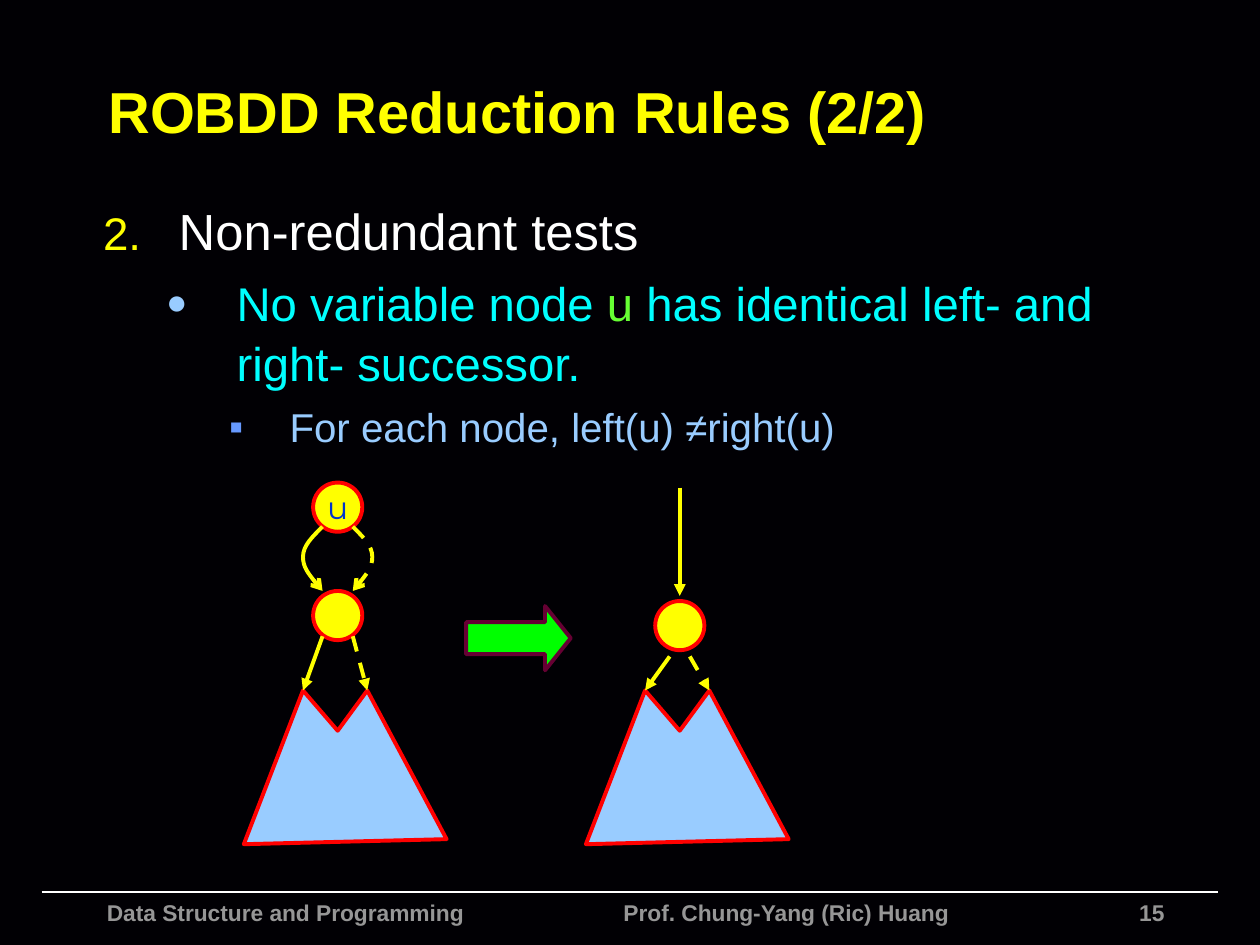
from lxml.etree import SubElement
from pptx import Presentation
from pptx.dml.color import RGBColor
from pptx.enum.dml import MSO_LINE
from pptx.enum.shapes import MSO_CONNECTOR, MSO_SHAPE
from pptx.enum.text import MSO_ANCHOR, PP_ALIGN
from pptx.oxml.ns import qn
from pptx.util import Inches, Pt

BACKGROUND = RGBColor(0x01, 0x00, 0x04)
WHITE = RGBColor(0xFF, 0xFF, 0xFF)
GRAY = RGBColor(0x96, 0x96, 0x96)
YELLOW = RGBColor(0xFF, 0xFF, 0x00)
CYAN = RGBColor(0x00, 0xFF, 0xFF)
LIME = RGBColor(0x66, 0xFF, 0x33)
GREEN = RGBColor(0x00, 0xFF, 0x00)
RED = RGBColor(0xFF, 0x00, 0x00)
PLUM = RGBColor(0x66, 0x00, 0x33)
SKY = RGBColor(0x99, 0xCC, 0xFF)
BLUE = RGBColor(0x66, 0x99, 0xFF)
NAVY = RGBColor(0x00, 0x33, 0xCC)

COLUMNS, ROWS = 100, 75
NODE_SIZE = 3.9
STROKE = 2.25


def grid(*cells):
    return [Inches(cell / 10) for cell in cells]


def write(paragraph, text, size, color, font="Arial", bold=False, align=None):
    run = paragraph.add_run()
    run.text = text
    run.font.name = font
    run.font.size = Pt(size)
    run.font.bold = bold
    run.font.color.rgb = color
    if align is not None:
        paragraph.alignment = align


def add_text_box(slide, *cells):
    frame = slide.shapes.add_textbox(*grid(*cells)).text_frame
    frame.word_wrap = True
    return frame


def set_bullet(paragraph, mark, color, percent, margin, hanging):
    properties = paragraph._p.get_or_add_pPr()
    properties.set("marL", str(Inches(margin)))
    properties.set("indent", str(-Inches(hanging)))
    bullet_color = SubElement(properties, qn("a:buClr"))
    SubElement(bullet_color, qn("a:srgbClr"), val=str(color))
    SubElement(properties, qn("a:buSzPct"), val=str(percent * 1000))
    SubElement(properties, qn("a:buFont"), typeface="Arial")
    if isinstance(mark, int):
        SubElement(properties, qn("a:buAutoNum"), type="arabicPeriod", startAt=str(mark))
    else:
        SubElement(properties, qn("a:buChar"), char=mark)


def set_line(shape, color, width=STROKE, dashed=False, arrow=None):
    shape.line.color.rgb = color
    shape.line.width = Pt(width)
    if dashed:
        shape.line.dash_style = MSO_LINE.DASH
    if arrow:
        SubElement(shape.line._get_or_add_ln(), qn("a:tailEnd"), type=arrow)


def set_fill(shape, color):
    shape.shadow.inherit = False
    shape.fill.solid()
    shape.fill.fore_color.rgb = color


def add_line(slide, start, end, color=YELLOW, **line_format):
    connector = slide.shapes.add_connector(MSO_CONNECTOR.STRAIGHT, *grid(*start, *end))
    set_line(connector, color, **line_format)
    SubElement(connector._element.spPr, qn("a:effectLst"))


def add_freeform(slide, points, close):
    start, *others = [grid(*point) for point in points]
    builder = slide.shapes.build_freeform(*start)
    builder.add_line_segments(others, close=close)
    return builder.convert_to_shape()


def add_curve(slide, points, dashed=False):
    shape = add_freeform(slide, points, close=False)
    shape.shadow.inherit = False
    shape.fill.background()
    set_line(shape, YELLOW, dashed=dashed, arrow="arrow")
    path = shape._element.find(".//" + qn("a:path"))
    segments = path.findall(qn("a:lnTo"))
    for first in range(0, len(segments), 3):
        curve = SubElement(path, qn("a:cubicBezTo"))
        for segment in segments[first:first + 3]:
            curve.append(segment[0])
            path.remove(segment)


def add_node(slide, center, top, label=None):
    node = slide.shapes.add_shape(
        MSO_SHAPE.OVAL, *grid(center - NODE_SIZE / 2, top, NODE_SIZE, NODE_SIZE))
    set_fill(node, YELLOW)
    set_line(node, RED)
    if label:
        frame = node.text_frame
        frame.word_wrap = False
        frame.vertical_anchor = MSO_ANCHOR.MIDDLE
        frame.margin_left = frame.margin_right = Inches(0.05)
        write(frame.paragraphs[0], label, 18, NAVY, font="Montserrat", align=PP_ALIGN.CENTER)


def add_subgraph(slide, center, node_top, left_start, right_start):
    left_peak, right_peak = (center - 2.75, 54.8), (center + 2.35, 54.8)
    outline = [(center - 7.45, 67), left_peak, (center, 58), right_peak, (center + 8.65, 66.6)]
    triangle = add_freeform(slide, outline, close=True)
    set_fill(triangle, SKY)
    set_line(triangle, RED)
    add_node(slide, center, node_top)
    add_line(slide, left_start, left_peak, arrow="triangle")
    add_line(slide, right_start, right_peak, dashed=True, arrow="triangle")


def add_title(slide):
    title = slide.shapes.title
    title.left, title.top, title.width, title.height = grid(7.6, 3.7, 88.4, 10.1)
    title.text_frame.vertical_anchor = MSO_ANCHOR.MIDDLE
    write(title.text_frame.paragraphs[0], "ROBDD Reduction Rules (2/2)", 33, YELLOW,
          bold=True, align=PP_ALIGN.LEFT)


def add_rules(slide):
    items = [
        (29, (2, YELLOW, 90, 0.6, 0.6), [("Non-redundant tests", WHITE)]),
        (27, ("●", SKY, 75, 1.06, 0.56),
         [("No variable node ", CYAN), ("u", LIME),
          (" has identical left- and right- successor.", CYAN)]),
        (23, ("▪", BLUE, 100, 1.48, 0.48), [("For each node, left(u) ≠right(u)", SKY)]),
    ]
    frame = add_text_box(slide, 7.2, 15, 85, 21)
    for level, (size, bullet, runs) in enumerate(items):
        paragraph = frame.add_paragraph() if level else frame.paragraphs[0]
        paragraph.level = level
        set_bullet(paragraph, *bullet)
        paragraph.line_spacing = 1.07
        if level:
            paragraph.space_before = Pt(size * 0.2)
        for text, color in runs:
            write(paragraph, text, size, color)


def add_footer(slide):
    add_line(slide, (3.3, 70.8), (COLUMNS - 3.3, 70.8), color=WHITE, width=1)
    paragraph = add_text_box(slide, 7.5, 70.8, 72.4, 4.2).paragraphs[0]
    tabs = SubElement(paragraph._p.get_or_add_pPr(), qn("a:tabLst"))
    SubElement(tabs, qn("a:tab"), pos=str(Inches(4.1)), algn="l")
    write(paragraph, "Data Structure and Programming\tProf. Chung-Yang (Ric) Huang",
          13, GRAY, bold=True)
    number = add_text_box(slide, 61.7, 70.8, 31.7, 4.2).paragraphs[0]
    write(number, "15", 13, GRAY, bold=True, align=PP_ALIGN.RIGHT)


def add_reduction(slide):
    before, after = 26.8, 53.95
    add_node(slide, before, 38.3, label="u")
    for side, dashed in ((-1, False), (1, True)):
        offsets = [(1.2, 41.8), (2, 42.6), (2.75, 43.3), (2.75, 44.2),
                   (2.75, 45), (2, 46), (1.2, 46.9)]
        add_curve(slide, [(before + side * x, y) for x, y in offsets], dashed=dashed)
    add_subgraph(slide, before, 46.9, (before - 1.2, 50.5), (before + 1.2, 50.5))
    add_subgraph(slide, after, 47.7, (after - 0.8, 52.1), (after + 0.8, 52.1))
    add_line(slide, (after, 38.7), (after, 47.3), arrow="triangle")
    arrow = slide.shapes.add_shape(MSO_SHAPE.RIGHT_ARROW, *grid(37, 48.1, 8.3, 5.1))
    arrow.adjustments[0], arrow.adjustments[1] = 0.5, 0.4
    set_fill(arrow, GREEN)
    set_line(arrow, PLUM)


def main():
    presentation = Presentation()
    presentation.slide_width, presentation.slide_height = grid(COLUMNS, ROWS)
    slide = presentation.slides.add_slide(presentation.slide_layouts[5])
    slide.background.fill.solid()
    slide.background.fill.fore_color.rgb = BACKGROUND
    add_footer(slide)
    add_title(slide)
    add_rules(slide)
    add_reduction(slide)
    presentation.save("out.pptx")


if __name__ == "__main__":
    main()
